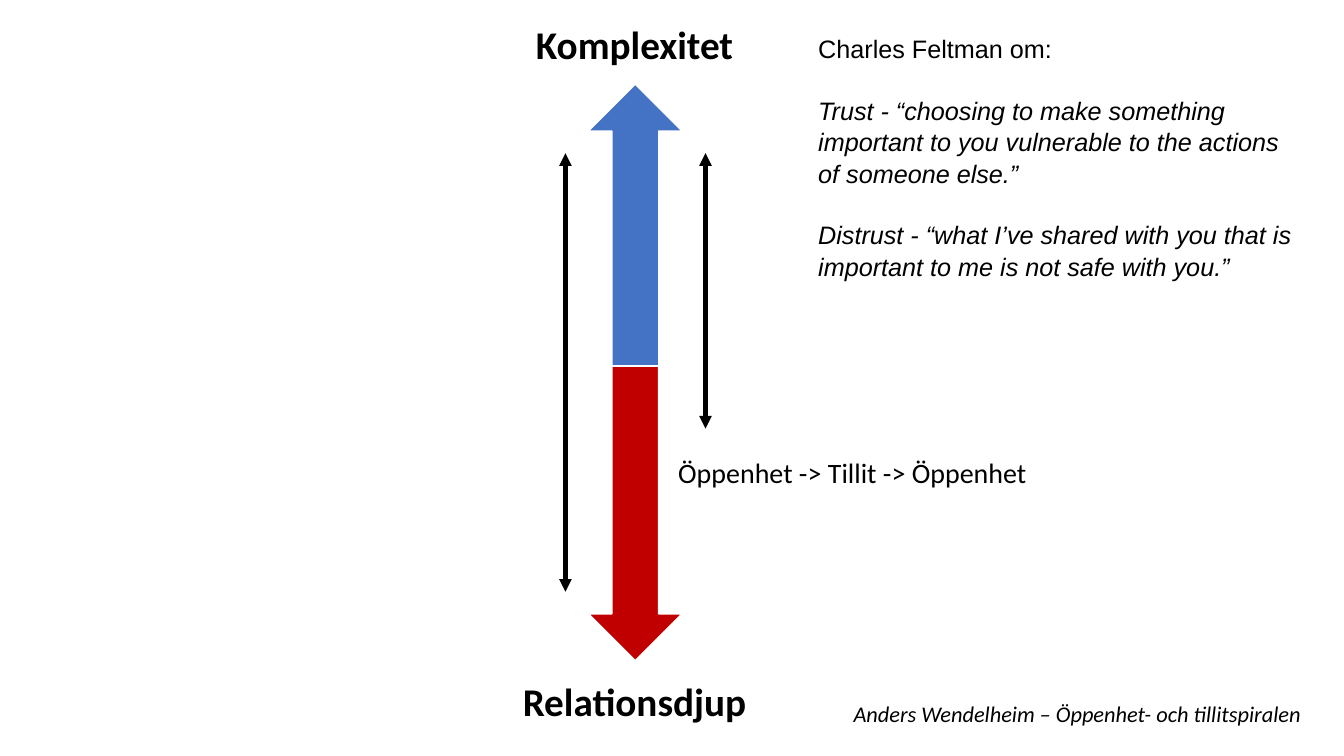
from lxml.etree import SubElement
from pptx import Presentation
from pptx.dml.color import RGBColor
from pptx.enum.shapes import MSO_CONNECTOR, MSO_SHAPE
from pptx.enum.text import MSO_ANCHOR, MSO_AUTO_SIZE, PP_ALIGN
from pptx.oxml.ns import qn
from pptx.util import Cm, Pt

BLACK = RGBColor(0x00, 0x00, 0x00)
WHITE = RGBColor(0xFF, 0xFF, 0xFF)
BLUE = RGBColor(0x44, 0x72, 0xC4)
RED = RGBColor(0xC0, 0x00, 0x00)


class SpiralPage:
    font = "Calibri"
    color = BLACK

    def __init__(self, deck):
        self.page = deck.slides.add_slide(deck.slide_layouts[5])

    def place(self, box, left, top, width, height):
        box.left, box.top = Cm(left), Cm(top)
        box.width, box.height = Cm(width), Cm(height)

    def fill_text(self, box, lines, size, bold=False, italic=False, font=None, align=PP_ALIGN.LEFT):
        frame = box.text_frame
        frame.text = "\n".join(lines)
        frame.word_wrap = True
        frame.auto_size = MSO_AUTO_SIZE.NONE
        frame.vertical_anchor = MSO_ANCHOR.TOP
        for para in frame.paragraphs:
            para.alignment = align
            para.font.name = font or self.font
            para.font.size = Pt(size)
            para.font.bold = bold
            para.font.italic = italic
            para.font.color.rgb = self.color
        return frame.paragraphs

    def title(self, text, left, top, width, height):
        box = self.page.shapes.title
        self.place(box, left, top, width, height)
        self.fill_text(box, [text], 28, bold=True, align=PP_ALIGN.CENTER)

    def text(self, lines, left, top, width, height, size, **style):
        box = self.page.shapes.add_textbox(Cm(left), Cm(top), Cm(width), Cm(height))
        return self.fill_text(box, lines, size, **style)

    def block_arrow(self, top, height, color, rotation=0):
        arrow = self.page.shapes.add_shape(
            MSO_SHAPE.DOWN_ARROW, Cm(14.83), Cm(top), Cm(2.36), Cm(height))
        arrow.rotation = rotation
        arrow.shadow.inherit = False
        arrow.fill.solid()
        arrow.fill.fore_color.rgb = color
        arrow.line.color.rgb = WHITE
        arrow.line.width = Pt(1)

    def double_arrow(self, x, bottom, top):
        connector = self.page.shapes.add_connector(
            MSO_CONNECTOR.STRAIGHT, Cm(x), Cm(bottom), Cm(x), Cm(top))
        connector.line.color.rgb = self.color
        connector.line.width = Pt(3)
        properties = connector._element.spPr
        line = properties.find(qn("a:ln"))
        for end in ("a:headEnd", "a:tailEnd"):
            SubElement(line, qn(end), type="triangle")
        SubElement(properties, qn("a:effectLst"))


def main():
    deck = Presentation()
    deck.slide_width, deck.slide_height = Cm(33.87), Cm(19.05)
    spiral = SpiralPage(deck)

    spiral.block_arrow(9.23, 7.42, RED)
    spiral.block_arrow(2.12, 7.1, BLUE, rotation=180)
    spiral.title("Komplexitet", 12.22, 0.38, 7.54, 1.45)
    spiral.text(["Relationsdjup"], 12.22, 16.95, 7.54, 1.45, 28, bold=True, align=PP_ALIGN.CENTER)
    for x, bottom in ((17.78, 10.8), (14.25, 14.91)):
        spiral.double_arrow(x, bottom, 3.86)
    spiral.text(["Öppenhet -> Tillit -> Öppenhet"], 16.84, 11.35, 10.21, 1.96, 20)
    spiral.text(["Anders Wendelheim – Öppenhet- och tillitspiralen"],
                21.26, 17.53, 12.61, 0.94, 16, italic=True)

    heading, *quotes = spiral.text(
        ["Charles Feltman om:",
         "Trust - “choosing to make something important to you vulnerable to the actions of someone else.”",
         "Distrust - “what I’ve shared with you that is important to me is not safe with you.”"],
        20.37, 0.69, 12.62, 8.71, 18, font="Arial")
    heading.line_spacing = 1.04
    for quote in quotes:
        quote.font.italic = True
        quote.line_spacing = 1.04
        quote.space_before = Pt(21.6)

    deck.save("out.pptx")


if __name__ == "__main__":
    main()
